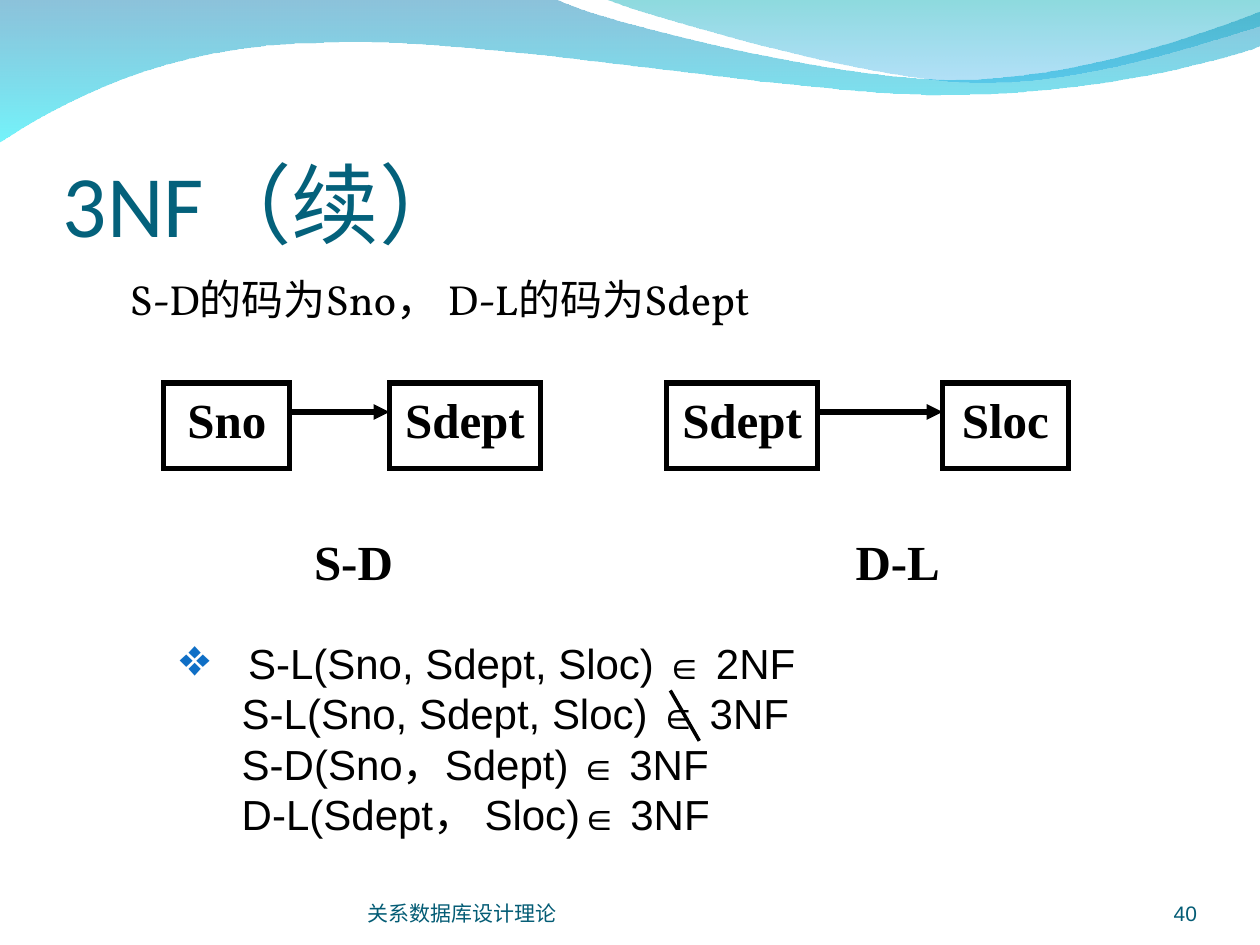
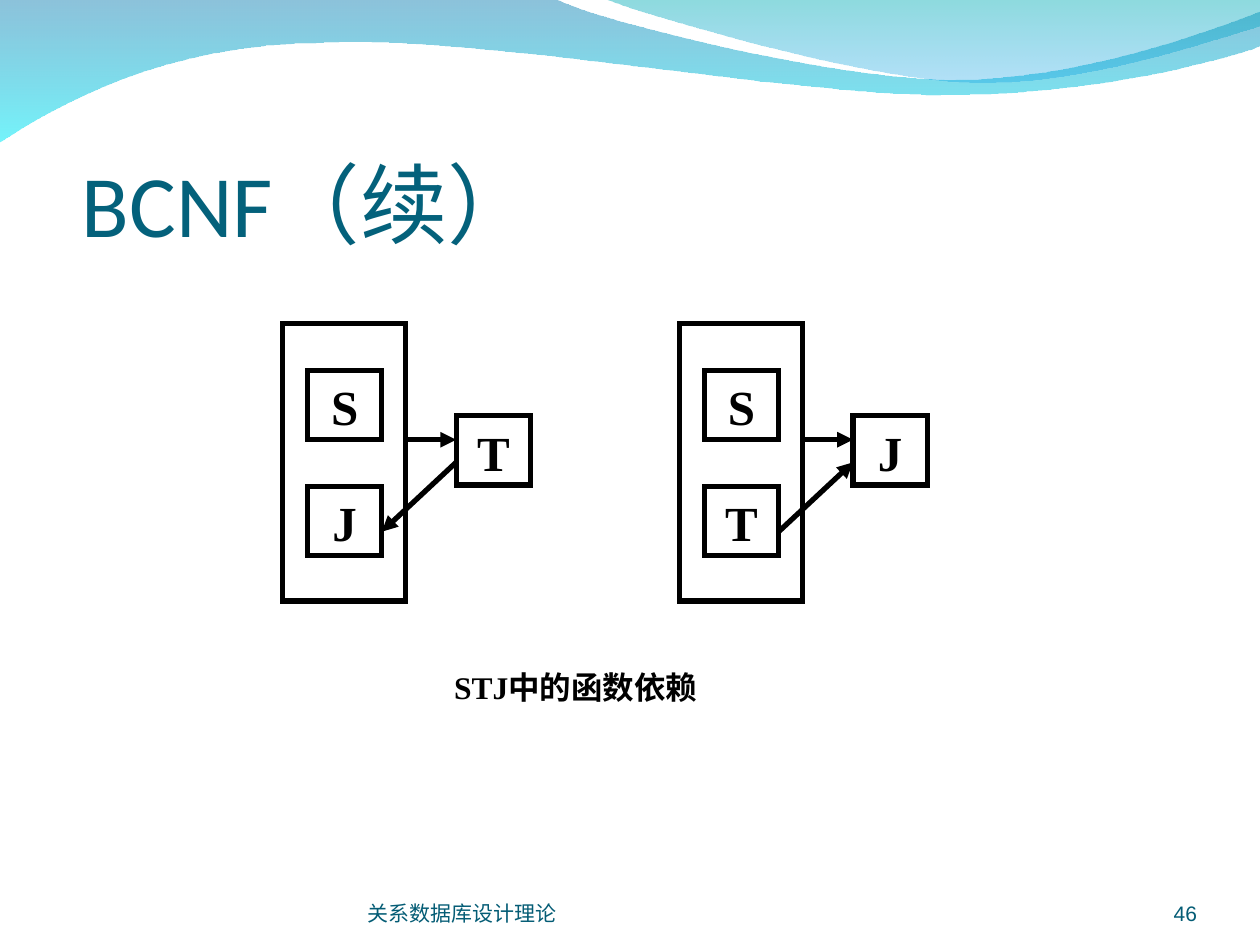
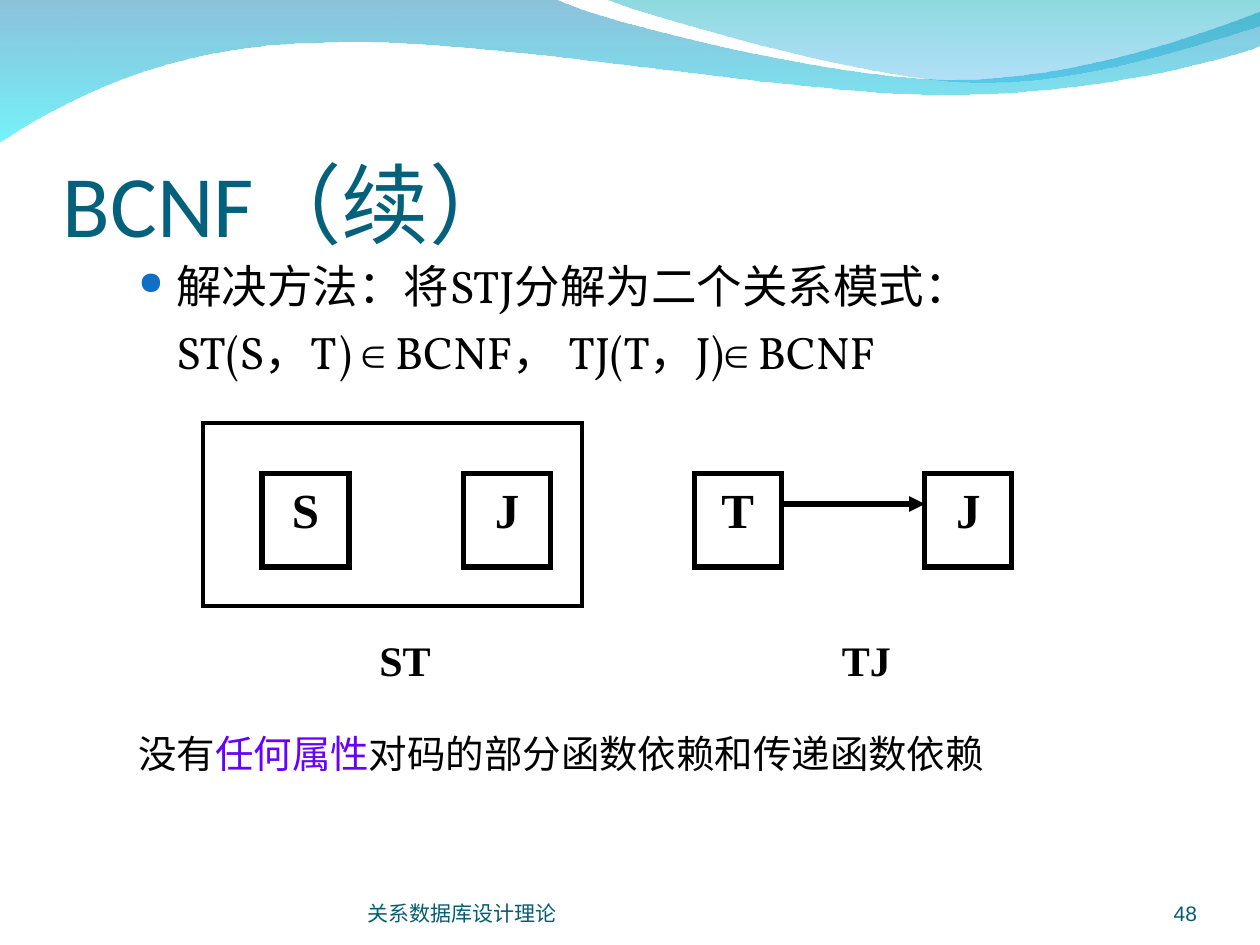
from lxml.etree import SubElement
from pptx import Presentation
from pptx.dml.color import RGBColor
from pptx.enum.shapes import MSO_CONNECTOR, MSO_SHAPE
from pptx.enum.text import MSO_ANCHOR, PP_ALIGN
from pptx.oxml.ns import qn
from pptx.util import Emu, Pt

PX = 9144
COLORS = {
    "ink": "000000", "title": "04617B", "footer": "045C75",
    "bullet": "0F6FC6", "accent": "6600FF",
    "wave_top": "0079AF", "wave_bottom": "00EBF8",
    "crest_top": "00ADB6", "crest_bottom": "009BE5",
}
SERIF, SANS, BODY, HEADING = "Times New Roman", "Arial", "Vollkorn", "Calibri"
FOOTER = "关系数据库设计理论"
INSETS = (10, 5, 10, 5)
WAVE = [
    [(0, -1)], [(440, -1)],
    [(476, 17), (664, 63), (758, 63)], [(853, 63), (958, 26), (1000, 9)],
    [(1001, 36)],
    [(983, 44), (870, 76), (746, 75)], [(622, 75), (382, 28), (257, 34)],
    [(129, 35), (46, 83), (-1, 113)],
]
CREST = [
    [(479, -1)],
    [(509, 11), (682, 62), (769, 65)], [(856, 69), (961, 32), (1000, 21)],
    [(1000, 0)],
]


def rgb(name):
    """Return the named colour."""
    return RGBColor.from_string(COLORS[name])


def lengths(*values):
    """Turn px into EMU."""
    return [Emu(value * PX) for value in values]


class Lecture:
    """Holds the deck, its style and the current page."""

    def __init__(self):
        """Open an empty 4:3 deck."""
        self.deck = Presentation()
        self.deck.slide_width, self.deck.slide_height = lengths(1000, 750)
        self.shapes = None

    def start(self, title, number, indent=0):
        """Add a page with waves, title, footer and page number."""
        page = self.deck.slides.add_slide(self.deck.slide_layouts[6])
        self.shapes = page.shapes
        self.wave(WAVE, ("wave_top", 45), ("wave_bottom", 55))
        self.wave(CREST, ("crest_top", 45), ("crest_bottom", 30))
        frame = self.text(50, 77, 900, 125, (0, 5, 0, 0), MSO_ANCHOR.BOTTOM)
        self.para(frame, title, 50, HEADING, "title", left=indent)
        for left, width, words, align in ((292, 367, FOOTER, PP_ALIGN.LEFT),
                                          (867, 83, str(number), PP_ALIGN.RIGHT)):
            frame = self.text(left, 695, width, 40, (0, 0, 0, 0), MSO_ANCHOR.BOTTOM)
            para = self.para(frame, words, 12, SANS, "footer", align=align, before=3)
            para.line_spacing = 0.9

    def wave(self, segments, *stops):
        """Draw a translucent curved outline with a vertical gradient."""
        start, *ends = [lengths(*segment[-1]) for segment in segments]
        builder = self.shapes.build_freeform(*start)
        builder.add_line_segments(ends, close=True)
        shape = builder.convert_to_shape()
        sides = list(shape.element.spPr.iter(qn("a:lnTo")))
        for side, segment in zip(sides, segments[1:]):
            if len(segment) == 3:
                self.bend(side, segment[:2], shape)
        shape.shadow.inherit = False
        shape.line.fill.background()
        shape.fill.gradient()
        shape.fill.gradient_angle = 270
        for stop, (color, _) in zip(shape.fill.gradient_stops, stops):
            stop.color.rgb = rgb(color)
        for node, (_, opacity) in zip(shape.element.spPr.iter(qn("a:srgbClr")), stops):
            SubElement(node, qn("a:alpha"), val=str(opacity * 1000))

    def bend(self, side, controls, shape):
        """Turn a straight side of a freeform into a cubic curve."""
        end = side[0]
        side.tag = qn("a:cubicBezTo")
        for x, y in controls:
            SubElement(side, qn("a:pt"), x=str(x * PX - shape.left), y=str(y * PX - shape.top))
        side.append(end)

    def text(self, left, top, width, height, insets=INSETS, anchor=MSO_ANCHOR.TOP):
        """Add a wrapping text box and return its frame."""
        box = self.shapes.add_textbox(*lengths(left, top, width, height))
        return self.set_frame(box.text_frame, insets, anchor)

    def set_frame(self, frame, insets=INSETS, anchor=MSO_ANCHOR.TOP):
        """Set wrapping, insets and anchor of a text frame."""
        frame.word_wrap, frame.vertical_anchor = True, anchor
        (frame.margin_left, frame.margin_top,
         frame.margin_right, frame.margin_bottom) = lengths(*insets)
        return frame

    def para(self, frame, spans, size, font, color="ink", bold=False, align=PP_ALIGN.LEFT,
             before=0, left=0, hang=0, bullet=None, bullet_size=100):
        """Write one paragraph from a string or (text, size, colour) spans."""
        para = frame.paragraphs[0]
        if para.runs:
            para = frame.add_paragraph()
        props = para._p.get_or_add_pPr()
        props.set("marL", str(left * PX))
        props.set("indent", str(-hang * PX))
        if bullet:
            tint = SubElement(props, qn("a:buClr"))
            SubElement(tint, qn("a:srgbClr"), val=COLORS["bullet"])
            SubElement(props, qn("a:buSzPct"), val=str(bullet_size * 1000))
            SubElement(props, qn("a:buChar"), char=bullet)
        para.alignment, para.space_before = align, Pt(before)
        para.font.name, para.font.bold = font, bold
        para.font.size, para.font.color.rgb = Pt(size), rgb(color)
        if isinstance(spans, str):
            spans = [(spans, size, color)]
        for words, span_size, span_color in spans:
            span = para.add_run()
            span.text = words
            if span_size != size:
                span.font.size = Pt(span_size)
            if span_color != color:
                span.font.color.rgb = rgb(span_color)
        return para

    def label(self, words, left, top, width, height, size=28):
        """Add a bold centred caption."""
        frame = self.text(left, top, width, height)
        self.para(frame, words, size, SERIF, bold=True, align=PP_ALIGN.CENTER)

    def box(self, left, top, width, height, words="", weight=3):
        """Add an outlined rectangle with an optional attribute name."""
        box = self.shapes.add_shape(MSO_SHAPE.RECTANGLE, *lengths(left, top, width, height))
        box.shadow.inherit = False
        box.fill.background()
        box.line.color.rgb, box.line.width = rgb("ink"), Pt(weight)
        SubElement(box.line._get_or_add_ln(), qn("a:miter"), lim="800000")
        if words:
            frame = self.set_frame(box.text_frame)
            self.para(frame, words, 28, SERIF, bold=True, align=PP_ALIGN.CENTER)

    def line(self, x1, y1, x2, y2, weight=3, arrow=True):
        """Draw a straight line, with an arrowhead at its end if wanted."""
        line = self.shapes.add_connector(MSO_CONNECTOR.STRAIGHT, *lengths(x1, y1, x2, y2))
        line.line.color.rgb, line.line.width = rgb("ink"), Pt(weight)
        if arrow:
            SubElement(line.line._get_or_add_ln(), qn("a:tailEnd"), type="triangle")
        SubElement(line._element.spPr, qn("a:effectLst"))


def third_normal_form(lecture):
    """Build the page on the keys of S-D and D-L."""
    lecture.start("3NF（续）", 40)
    frame = lecture.text(50, 212, 900, 480)
    lecture.para(frame, "S-D的码为Sno， D-L的码为Sdept", 24, BODY, before=6, left=43)
    for left, width, words in ((130, 100, "Sno"), (309, 120, "Sdept"),
                               (529, 120, "Sdept"), (748, 100, "Sloc")):
        lecture.box(left, 304, width, 68, words)
    lecture.line(230, 327, 309, 327)
    lecture.line(649, 327, 748, 327)
    lecture.label("S-D", 230, 417, 101, 68)
    lecture.label("D-L", 668, 417, 89, 68)
    relations = (("S-L(Sno, Sdept, Sloc) ", "∈", " 2NF"),
                 ("S-L(Sno, Sdept, Sloc) ", "∈", " 3NF"),
                 ("S-D(Sno，Sdept)", " ∈", " 3NF"),
                 ("D-L(Sdept， Sloc)", "∈", " 3NF"))
    frame = lecture.text(98, 501, 575, 170)
    for index, parts in enumerate(relations):
        spans = [(words, size, "ink") for words, size in zip(parts, (24, 22, 24))]
        layout = {"left": 84}
        if index == 0:
            layout = {"left": 89, "hang": 54, "bullet": "❖", "bullet_size": 125}
        lecture.para(frame, spans, 24, SANS, **layout)
    lecture.line(532, 548, 555, 588, weight=2, arrow=False)


def stj_dependencies(lecture):
    """Build the page on the dependencies in STJ."""
    lecture.start("BCNF（续）", 46, indent=15)
    for left, lower, right in ((224, "J", "T"), (539, "T", "J")):
        lecture.box(left, 257, 98, 220)
        lecture.box(left + 20, 294, 59, 55, "S")
        lecture.box(left + 20, 386, 59, 55, lower)
        lecture.box(left + 138, 330, 59, 55, right)
        lecture.line(left + 98, 349, left + 138, 349)
    lecture.line(362, 367, 303, 422)
    lecture.line(618, 422, 677, 367)
    lecture.label("STJ中的函数依赖", 343, 525, 228, 55, size=18)


def stj_split(lecture):
    """Build the page on splitting STJ into ST and TJ."""
    lecture.start("BCNF（续）", 48)
    frame = lecture.text(100, 200, 850, 450)
    lecture.para(frame, "解决方法：将STJ分解为二个关系模式：", 26, BODY, before=6.5,
                 left=30, hang=30, bullet="●", bullet_size=70)
    lecture.para(frame, "ST(S，T) ∈ BCNF， TJ(T，J)∈ BCNF", 26, BODY, before=6.5, left=30)
    lecture.para(frame, [("没有", 22, "ink"), ("任何属性", 22, "accent"),
                         ("对码的部分函数依赖和传递函数依赖", 22, "ink")],
                 22, BODY, before=201)
    for left, words in ((208, "S"), (368, "J"), (551, "T"), (734, "J")):
        lecture.box(left, 376, 69, 74, words)
    lecture.line(620, 400, 734, 400)
    lecture.box(161, 336, 301, 145, weight=2.25)
    lecture.label("ST", 276, 499, 91, 74, size=24)
    lecture.label("TJ", 642, 499, 91, 74, size=24)


def main():
    """Build the three pages and save the deck."""
    lecture = Lecture()
    third_normal_form(lecture)
    stj_dependencies(lecture)
    stj_split(lecture)
    lecture.deck.save("out.pptx")


if __name__ == "__main__":
    main()
